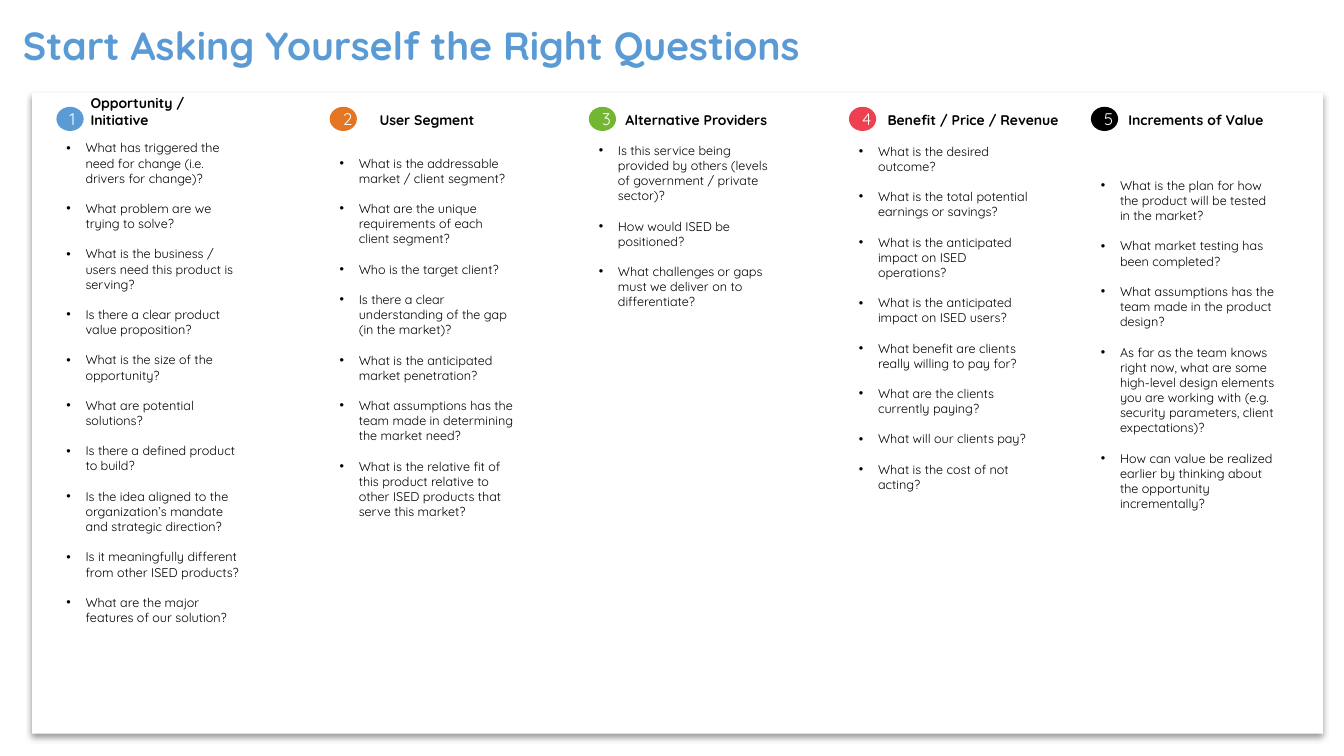
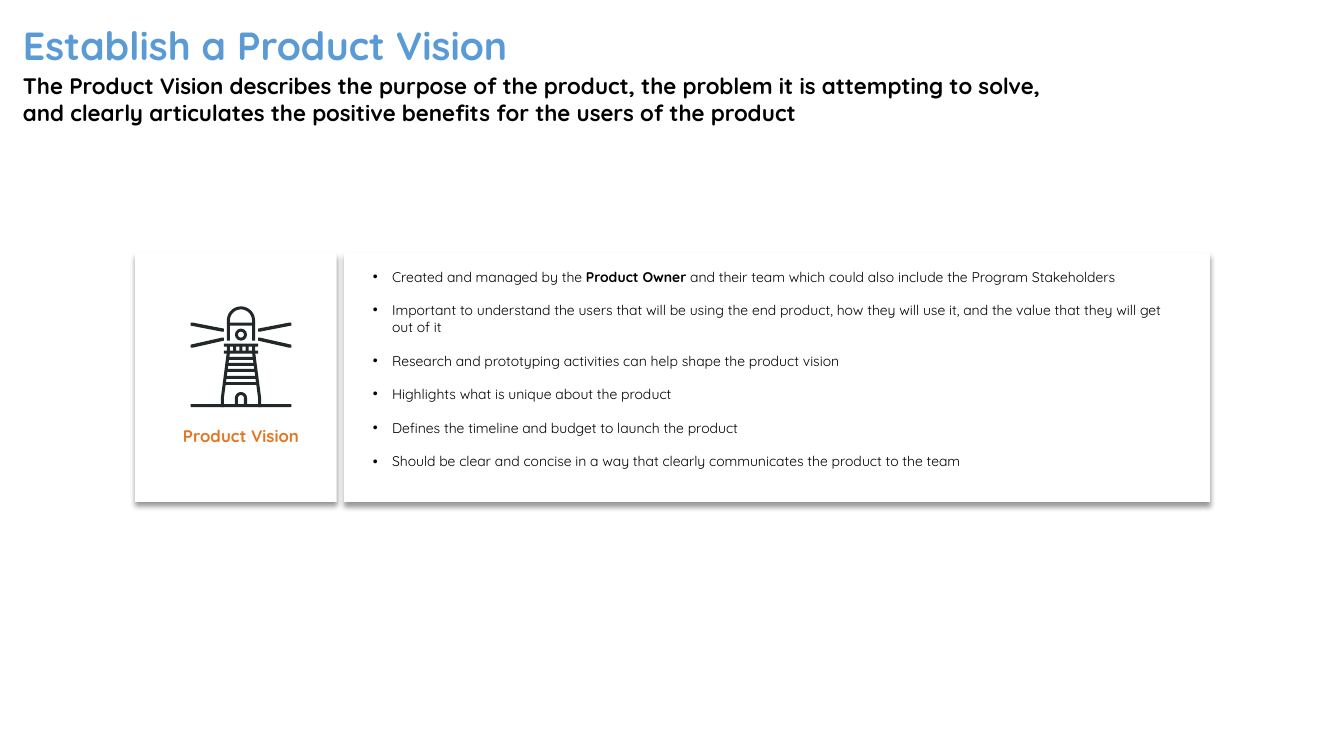
import math

from lxml import etree
from pptx import Presentation
from pptx.dml.color import RGBColor
from pptx.enum import shapes, text
from pptx.oxml import ns
from pptx.util import Inches, Pt

BLUE = RGBColor(0x5B, 0x9B, 0xD5)
ORANGE = RGBColor(0xE4, 0x76, 0x23)
GREEN = RGBColor(0x73, 0xB6, 0x32)
RED = RGBColor(0xEF, 0x40, 0x51)
BLACK = RGBColor(0, 0, 0)
WHITE = RGBColor(0xFF, 0xFF, 0xFF)
INK = RGBColor(0x22, 0x28, 0x29)

LEFT, CENTER, RIGHT = text.PP_ALIGN.LEFT, text.PP_ALIGN.CENTER, text.PP_ALIGN.RIGHT
RECT = shapes.MSO_SHAPE.RECTANGLE
OVAL = shapes.MSO_SHAPE.OVAL
DONUT = shapes.MSO_SHAPE.DONUT

# number left, colour, heading, (heading left, width, alignment), list bottom, questions
COLUMNS = [
    (0.56, BLUE, "Opportunity / Initiative", (0.8, 1.71, LEFT), 6.25, [
        "What has triggered the need for change (i.e. drivers for change)?",
        "What problem are we trying to solve?",
        "What is the business / users need this product is serving?",
        "Is there a clear product value proposition?",
        "What is the size of the opportunity?",
        "What are potential solutions?",
        "Is there a defined product to build?",
        "Is the idea aligned to the organization’s mandate and strategic direction?",
        "Is it meaningfully different from other ISED products?",
        "What are the major features of our solution?"]),
    (3.27, ORANGE, "User Segment", (3.38, 1.71, CENTER), 5.2, [
        "What is the addressable market / client segment?",
        "What are the unique requirements of each client segment?",
        "Who is the target client?",
        "Is there a clear understanding of the gap (in the market)?",
        "What is the anticipated market penetration?",
        "What assumptions has the team made in determining the market need?",
        "What is the relative fit of this product relative to other ISED products "
        "that serve this market?"]),
    (5.84, GREEN, "Alternative Providers", (6.05, 1.71, CENTER), 3.12, [
        "Is this service being provided by others (levels of government / private sector)?",
        "How would ISED be positioned?",
        "What challenges or gaps must we deliver on to differentiate?"]),
    (8.42, RED, "Benefit / Price / Revenue", (8.64, 2.02, CENTER), 4.93, [
        "What is the desired outcome?",
        "What is the total potential earnings or savings?",
        "What is the anticipated impact on ISED operations?",
        "What is the anticipated impact on ISED users?",
        "What benefit are clients really willing to pay for?",
        "What are the clients currently paying?",
        "What will our clients pay?",
        "What is the cost of not acting?"]),
    (10.82, BLACK, "Increments of Value", (10.92, 1.71, RIGHT), 5.12, [
        "What is the plan for how the product will be tested in the market?",
        "What market testing has been completed?",
        "What assumptions has the team made in the product design?",
        "As far as the team knows right now, what are some high-level design elements "
        "you are working with (e.g. security parameters, client expectations)?",
        "How can value be realized earlier by thinking about the opportunity "
        "incrementally?"]),
]

VISION_POINTS = [
    "Created and managed by the **Product Owner** and their team which could also "
    "include the Program Stakeholders",
    "Important to understand the users that will be using the end product, how they "
    "will use it, and the value that they will get out of it",
    "Research and prototyping activities can help shape the product vision",
    "Highlights what is unique about the product",
    "Defines the timeline and budget to launch the product",
    "Should be clear and concise in a way that clearly communicates the product to the team",
]


class Deck:
    FONT = "Quicksand"
    LINE_HEIGHT = 1.2

    def __init__(self):
        self.prs = Presentation()
        self.prs.slide_width, self.prs.slide_height = Inches(13.33), Inches(7.5)
        self.slide = None

    def new_slide(self, title):
        self.slide = self.prs.slides.add_slide(self.prs.slide_layouts[6])
        self.label(title, 0.13, 0.22, 8.27, 0.51, size=28, color=BLUE, bold=True)

    def fill_text(self, frame, paragraphs, size=10, color=BLACK, bold=False, align=LEFT,
                  anchor=text.MSO_ANCHOR.BOTTOM, bullets=False):
        """Fill a text frame; words between ** marks are bold."""
        frame.word_wrap = True
        frame.vertical_anchor = anchor
        for index, content in enumerate(paragraphs):
            para = frame.paragraphs[0] if index == 0 else frame.add_paragraph()
            para.alignment = align
            if bullets:
                self.add_bullet(para)
            if index:
                para.space_before = Pt(size * self.LINE_HEIGHT)
            for part, words in enumerate(content.split("**")):
                run = para.add_run()
                run.text = words
                run.font.name = self.FONT
                run.font.size = Pt(size)
                run.font.bold = bold or part % 2 == 1
                run.font.color.rgb = color

    @staticmethod
    def add_bullet(para):
        props = para._p.get_or_add_pPr()
        props.set("marL", str(Inches(0.19)))
        props.set("indent", str(-Inches(0.19)))
        etree.SubElement(props, ns.qn("a:buFont"), typeface="Arial")
        etree.SubElement(props, ns.qn("a:buChar"), char="•")

    def label(self, content, left, top, width, height, **style):
        paragraphs = [content] if isinstance(content, str) else content
        box = self.slide.shapes.add_textbox(
            Inches(left), Inches(top), Inches(width), Inches(height))
        self.fill_text(box.text_frame, paragraphs, **style)

    @staticmethod
    def paint(shape, fill):
        shape.shadow.inherit = False
        shape.fill.solid()
        shape.fill.fore_color.rgb = fill
        shape.line.fill.background()
        return shape

    def shape(self, kind, left, top, width, height, fill):
        return self.paint(self.slide.shapes.add_shape(
            kind, Inches(left), Inches(top), Inches(width), Inches(height)), fill)

    def card(self, left, top, width, height):
        """White panel with a soft shadow below."""
        panel = self.shape(RECT, left, top, width, height, WHITE)
        effects = panel._element.spPr.find(ns.qn("a:effectLst"))
        shadow = etree.SubElement(
            effects, ns.qn("a:outerShdw"), blurRad=str(Pt(4)), dist=str(Pt(3)),
            dir="5400000", algn="t", rotWithShape="0")
        color = etree.SubElement(shadow, ns.qn("a:srgbClr"), val=str(BLACK))
        etree.SubElement(color, ns.qn("a:alpha"), val="40000")

    def number(self, value, left, top, fill):
        disc = self.shape(OVAL, left, top, 0.27, 0.24, fill)
        self.fill_text(disc.text_frame, [str(value)], size=12, color=WHITE, align=CENTER,
                       anchor=text.MSO_ANCHOR.MIDDLE)

    def polygon(self, points, fill):
        start, *rest = [(Inches(x), Inches(y)) for x, y in points]
        builder = self.slide.shapes.build_freeform(*start)
        builder.add_line_segments(rest, close=True)
        self.paint(builder.convert_to_shape(), fill)

    def arch(self, middle, spring, foot, radius, thickness, fill):
        """Round-topped band standing on the line y = foot."""
        def curve(r):
            angles = [math.pi * step / 24 for step in range(25)]
            top = [(middle - r * math.cos(a), spring - r * math.sin(a)) for a in angles]
            return [(middle - r, foot), *top, (middle + r, foot)]
        self.polygon(curve(radius) + curve(radius - thickness)[::-1], fill)


def draw_lighthouse(deck):
    middle, stroke = 2.39, 0.03
    leg = [(2.25, 3.49), (2.28, 3.5), (2.22, 3.95), (2.22, 4.04), (2.19, 4.04), (2.19, 3.95)]
    upper_beam = [(1.89, 3.2), (1.91, 3.2), (2.22, 3.26), (2.22, 3.29), (2.2, 3.29),
                  (1.89, 3.23)]
    lower_beam = [(1.89, 3.42), (2.2, 3.35), (2.22, 3.35), (2.22, 3.38), (1.91, 3.45),
                  (1.89, 3.45)]
    for half in (leg, upper_beam, lower_beam):
        deck.polygon(half, INK)
        deck.polygon([(2 * middle - x, y) for x, y in half], INK)

    deck.polygon([(2.25, 3.38), (2.25, 3.2), (2.53, 3.2), (2.53, 3.38),
                  (2.5, 3.38), (2.5, 3.23), (2.28, 3.23), (2.28, 3.38)], INK)
    deck.arch(middle, 3.18, 3.21, 0.14, stroke, INK)
    deck.arch(middle, 3.95, 4.02, 0.06, stroke, INK)
    lamp = deck.shape(DONUT, middle - 0.06, 3.26, 0.12, 0.12, INK)
    lamp.adjustments[0] = 0.25

    bars = [(3.41, 0.34), (3.48, 0.34), (3.54, 0.25), (3.6, 0.28), (3.66, 0.28),
            (3.73, 0.31), (3.79, 0.34), (4.01, 1)]
    for top, width in bars:
        deck.shape(RECT, middle - width / 2, top, width, stroke, INK)
    for post in range(-2, 3):
        deck.shape(RECT, middle + post * 0.25 / 4 - stroke / 2, 3.43, stroke, 0.06, INK)


def build_questions(deck):
    deck.new_slide("Start Asking Yourself the Right Questions")
    deck.card(0.32, 0.92, 12.8, 6.36)
    body_top = 1.32
    for value, column in enumerate(COLUMNS, 1):
        left, color, heading, (head_left, head_width, align), bottom, questions = column
        deck.number(value, left, 1.06, color)
        deck.label(heading, head_left, 1.07, head_width, body_top - 1.07,
                   bold=True, align=align)
        deck.label(questions, left, body_top, 1.95, bottom - body_top, size=9, bullets=True)


def build_vision(deck):
    deck.new_slide("Establish a Product Vision")
    deck.label("The Product Vision describes the purpose of the product, the problem it is "
               "attempting to solve, and clearly articulates the positive benefits for the "
               "users of the product", 0.13, 0.74, 10.4, 0.56, size=16, bold=True)
    deck.card(1.34, 2.51, 2, 2.47)
    draw_lighthouse(deck)
    deck.label("Product Vision", 1.58, 4.13, 1.62, 0.34, size=12, color=ORANGE,
               bold=True, align=CENTER)
    deck.card(3.41, 2.51, 8.59, 2.47)
    deck.label(VISION_POINTS, 3.6, 2.66, 8.18, 2.05, bullets=True)


def main():
    deck = Deck()
    build_questions(deck)
    build_vision(deck)
    deck.prs.save("out.pptx")


if __name__ == "__main__":
    main()
